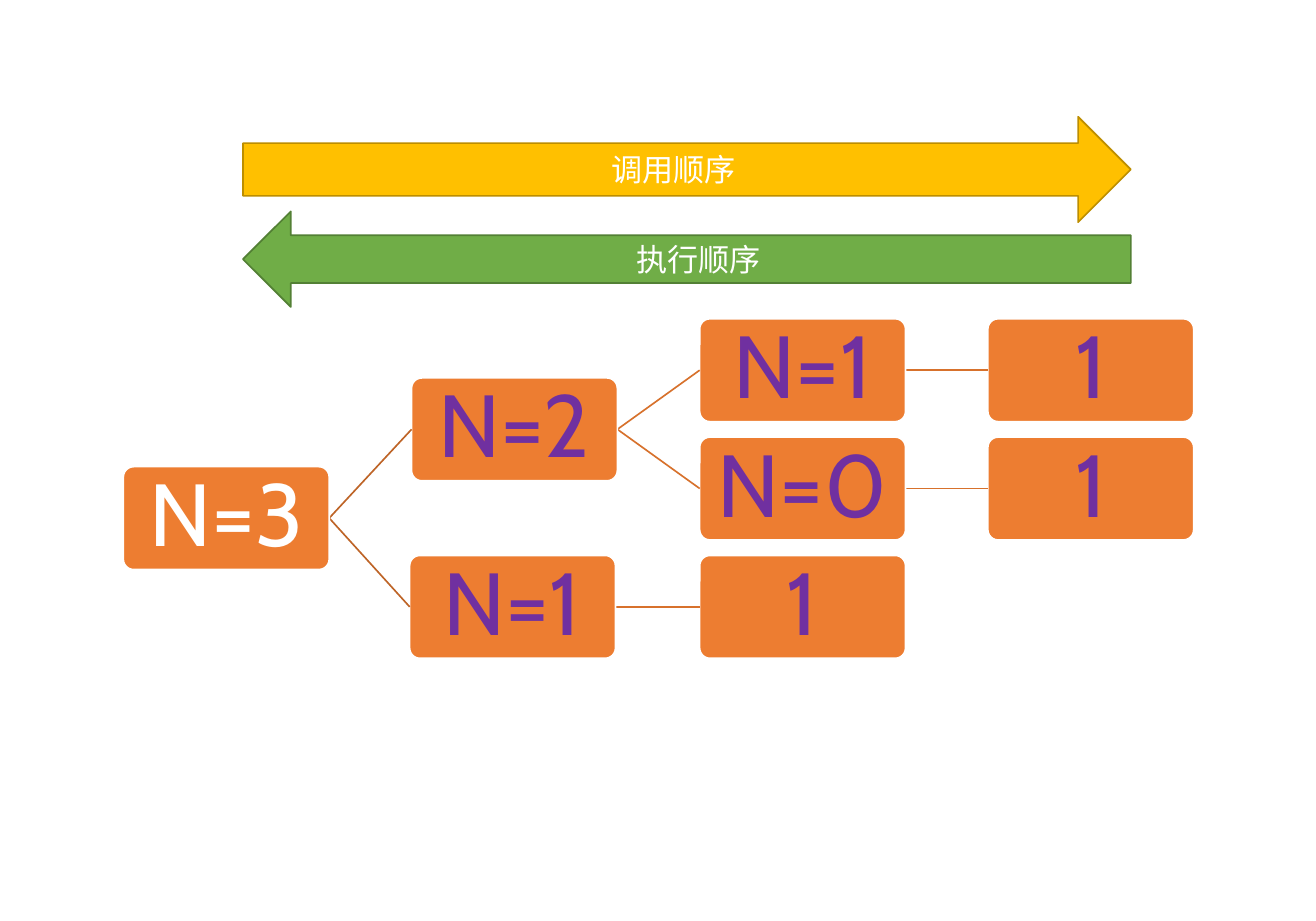
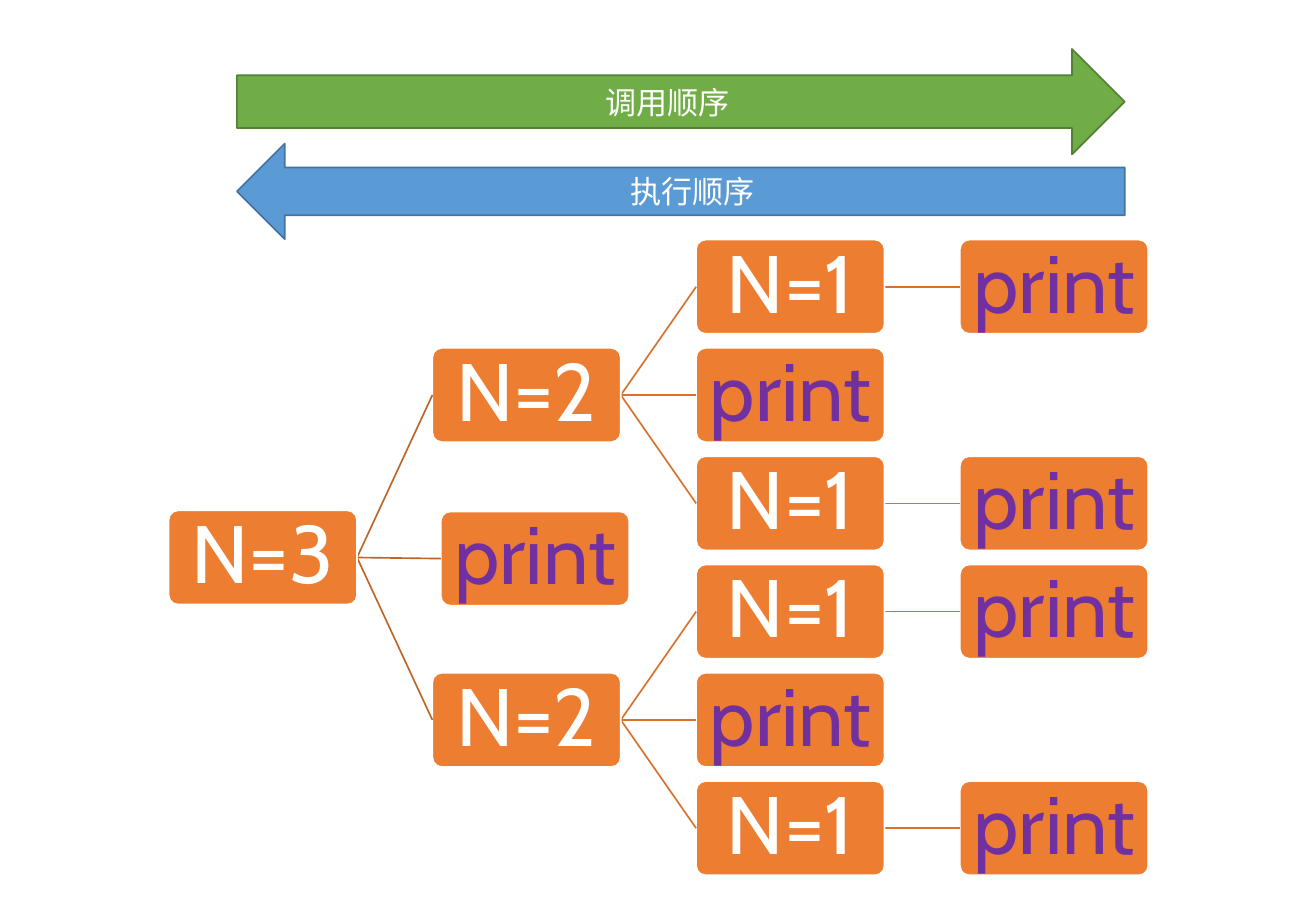
import dataclasses
import itertools

import pptx
import pptx.dml.color
import pptx.enum.shapes
import pptx.enum.text
import pptx.util
from lxml import etree

Cm, Pt = pptx.util.Cm, pptx.util.Pt
Kind = pptx.enum.shapes.MSO_SHAPE


class Theme:
    font = "Cabin"
    white, purple = "FFFFFF", "7030A0"
    box = "ED7D31"
    trunk, twig = "BE6427", "D7712C"
    gold = ("FFC000", "BD8E00")
    green = ("70AD47", "538035")
    blue = ("5B9BD5", "43739E")
    arrow = 18.7
    rule = 1


@dataclasses.dataclass
class Node:
    """A call in the tree; dx shifts it in cm, row overrides its grid row."""
    label: str
    kids: tuple = ()
    dx: float = 0
    row: float = None


def leaf():
    return Node("print")


def half():
    """The calls made below N=2 in the print tree."""
    return Node("N=2", (Node("N=1", (leaf(),)), leaf(), Node("N=1", (leaf(),))))


SLIDES = [
    {
        "tree": Node("N=3", (
            Node("N=2", (Node("N=1", (Node("1"),)), Node("N=0", (Node("1"),)))),
            Node("N=1", (Node("1"),), dx=-0.04),
        )),
        "plain": ("N=3",), "size": 53, "inset": 0.1,
        "left": 2.62, "top": 6.77, "wide": 4.37,
        "arrows": (5.16, 2.48), "hues": (Theme.gold, Theme.green),
    },
    {
        "tree": Node("N=3", (half(), Node("print", dx=0.18, row=2.51), half())),
        "plain": ("N=3", "N=2", "N=1"), "size": 49, "inset": 0.08,
        "left": 3.58, "top": 5.09, "wide": 4,
        "arrows": (5.03, 1.04), "hues": (Theme.green, Theme.blue),
    },
]

# label, shape, offset below the first arrow, height
ARROWS = [
    ("调用顺序", Kind.RIGHT_ARROW, 0, 2.24),
    ("执行顺序", Kind.LEFT_ARROW, 2.01, 2.03),
]
SPAN = 18.85


def rgb(code):
    return pptx.dml.color.RGBColor.from_string(code)


def block(slide, kind, area, hues, text, size, ink):
    """Add a filled shape with one centred line of text."""
    shape = slide.shapes.add_shape(kind, *map(Cm, area))
    shape.shadow.inherit = False
    fill, edge = hues
    shape.fill.solid()
    shape.fill.fore_color.rgb = rgb(fill)
    shape.line.color.rgb = rgb(edge)
    shape.line.width = Pt(Theme.rule)
    frame = shape.text_frame
    frame.word_wrap = True
    frame.vertical_anchor = pptx.enum.text.MSO_ANCHOR.MIDDLE
    para = frame.paragraphs[0]
    para.alignment = pptx.enum.text.PP_ALIGN.CENTER
    run = para.add_run()
    run.text = text
    run.font.name = Theme.font
    run.font.size = Pt(size)
    run.font.color.rgb = rgb(ink)
    return shape


def link(slide, start, end, hue):
    line = slide.shapes.add_connector(
        pptx.enum.shapes.MSO_CONNECTOR.STRAIGHT, *map(Cm, start + end))
    line.line.color.rgb = rgb(hue)
    line.line.width = Pt(Theme.rule)
    props = line._element.spPr
    etree.SubElement(props, pptx.oxml.ns.qn("a:effectLst"))


def grow(slide, spec, node, rows, depth=0):
    """Draw a node and all below it; return its row and left middle point."""
    wide = spec["wide"]
    high = wide / 2
    spots = [grow(slide, spec, kid, rows, depth + 1) for kid in node.kids]
    row = node.row
    if row is None:
        row = (spots[0][0] + spots[-1][0]) / 2 if spots else next(rows)
    left = spec["left"] + depth * wide * 1.4 + node.dx
    top = spec["top"] + row * high * 1.15
    mid = top + high / 2

    for _, end in spots:
        hue = Theme.twig if depth else Theme.trunk
        link(slide, (left + wide, mid), end, hue)
    ink = Theme.white if node.label in spec["plain"] else Theme.purple
    box = block(slide, Kind.ROUNDED_RECTANGLE, (left, top, wide, high),
                (Theme.box, Theme.white), node.label, spec["size"], ink)
    box.adjustments[0] = 0.1
    frame = box.text_frame
    frame.margin_left = frame.margin_right = Cm(spec["inset"])
    frame.margin_top = frame.margin_bottom = Cm(spec["inset"])
    frame.paragraphs[0].line_spacing = 0.9
    return row, (left, mid)


def main():
    deck = pptx.Presentation()
    deck.slide_width, deck.slide_height = Cm(27.94), Cm(19.56)
    for spec in SLIDES:
        slide = deck.slides.add_slide(deck.slide_layouts[6])
        grow(slide, spec, spec["tree"], itertools.count())
        left, top = spec["arrows"]
        for (text, kind, drop, high), hues in zip(ARROWS, spec["hues"]):
            block(slide, kind, (left, top + drop, SPAN, high), hues,
                  text, Theme.arrow, Theme.white)
    deck.save("out.pptx")


if __name__ == "__main__":
    main()
